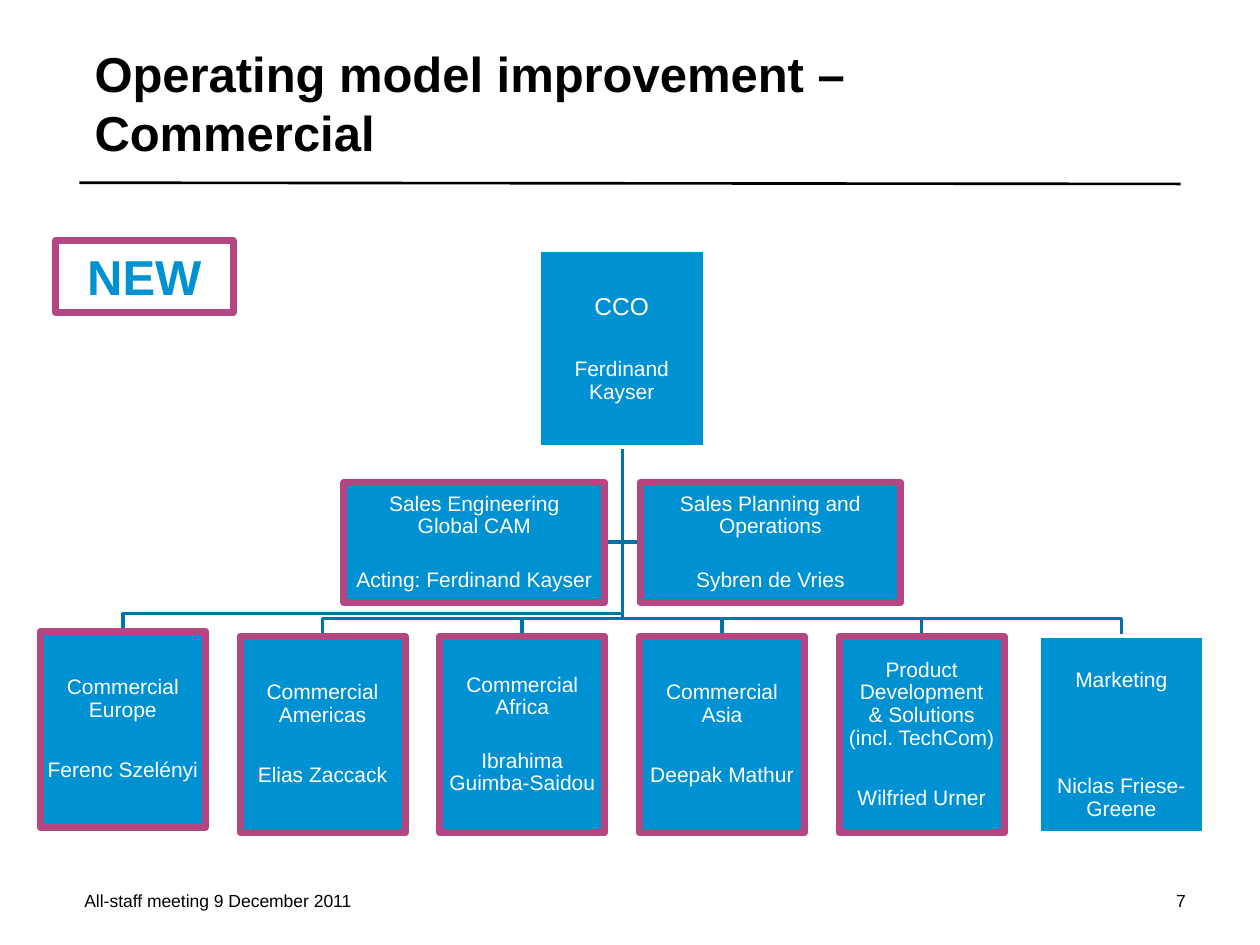
from lxml.etree import SubElement
from pptx import Presentation
from pptx.dml.color import RGBColor
from pptx.enum.shapes import MSO_CONNECTOR, MSO_SHAPE
from pptx.enum.text import MSO_ANCHOR, PP_ALIGN
from pptx.oxml.ns import qn
from pptx.util import Inches, Pt

BLACK = RGBColor(0x00, 0x00, 0x00)
WHITE = RGBColor(0xFF, 0xFF, 0xFF)
BLUE = RGBColor(0x00, 0x91, 0xD2)
DARK_BLUE = RGBColor(0x00, 0x74, 0xA8)
MAGENTA = RGBColor(0xB4, 0x46, 0x82)

TRUNK_X, TRUNK_TOP = 4.94, 3.55
UNIT_LEFT, UNIT_STEP = 0.32, 1.585
UNIT_WIDTH, UNIT_HEIGHT = 1.31, 1.56
BRANCH_RISE = 0.14
ROLE_GAP, TIGHT_GAP, WIDE_GAP = 21.5, 17.5, 47.5


class OrgSlide:
    font = "Arial"

    def __init__(self, slide):
        self.slide = slide

    def outline(self, shape, color, width):
        """Give a shape a solid line with round corners."""
        shape.line.color.rgb = color
        shape.line.width = Pt(width)
        SubElement(shape._element.spPr.find(qn("a:ln")), qn("a:round"))

    def fill_frame(self, frame, paragraphs, color, insets, anchor,
                   align=PP_ALIGN.LEFT, bold=False, gap=0, spacing=None):
        """Fill a frame with (text, size) paragraphs, gap points apart."""
        left, top, right, bottom = map(Inches, insets)
        frame_format = {"word_wrap": True, "vertical_anchor": anchor,
                        "margin_left": left, "margin_top": top,
                        "margin_right": right, "margin_bottom": bottom}
        for name, value in frame_format.items():
            setattr(frame, name, value)
        for index, (text, size) in enumerate(paragraphs):
            paragraph = frame.add_paragraph() if index else frame.paragraphs[0]
            paragraph.text = text
            paragraph.alignment = align
            if spacing:
                paragraph.line_spacing = spacing
            if index:
                paragraph.space_before = Pt(gap)
            font_format = {"name": self.font, "size": Pt(size), "bold": bold}
            for run in paragraph.runs:
                for name, value in font_format.items():
                    setattr(run.font, name, value)
                run.font.color.rgb = color

    def text(self, place, text, size, insets=(0, 0, 0, 0),
             anchor=MSO_ANCHOR.MIDDLE, **style):
        box = self.slide.shapes.add_textbox(*map(Inches, place))
        self.fill_frame(box.text_frame, [(text, size)], BLACK, insets, anchor,
                        **style)

    def box(self, place, fill, border, border_width):
        box = self.slide.shapes.add_shape(MSO_SHAPE.RECTANGLE, *map(Inches, place))
        box.shadow.inherit = False
        box.fill.solid()
        box.fill.fore_color.rgb = fill
        self.outline(box, border, border_width)
        return box

    def unit(self, place, role, person, gap=ROLE_GAP, is_new=True,
             role_size=12, top_inset=0.01):
        border, width = (MAGENTA, 4) if is_new else (WHITE, 2)
        box = self.box(place, BLUE, border, width)
        self.fill_frame(box.text_frame, [(role, role_size), (person, 12)], WHITE,
                        (0.01, top_inset, 0.01, 0.01), MSO_ANCHOR.MIDDLE,
                        align=PP_ALIGN.CENTER, gap=gap, spacing=0.9)

    def badge(self, place, text):
        box = self.box(place, WHITE, MAGENTA, 4)
        self.fill_frame(box.text_frame, [(text, 28)], BLUE,
                        (0.1, 0.05, 0.1, 0.05), MSO_ANCHOR.TOP,
                        align=PP_ALIGN.CENTER, bold=True)

    def branch(self, *points):
        """Draw an open bent line down the trunk and through the points."""
        builder = self.slide.shapes.build_freeform(
            Inches(TRUNK_X), Inches(TRUNK_TOP))
        builder.add_line_segments(
            [(Inches(x), Inches(y)) for x, y in points], close=False)
        line = builder.convert_to_shape()
        line.shadow.inherit = False
        line.fill.background()
        self.outline(line, DARK_BLUE, 2)

    def rule(self, x1, y1, x2, y2):
        line = self.slide.shapes.add_connector(
            MSO_CONNECTOR.STRAIGHT, *map(Inches, (x1, y1, x2, y2)))
        self.outline(line, BLACK, 1.5)
        SubElement(line._element.spPr, qn("a:effectLst"))


# role, person, top, further settings
UNITS = [
    ("Commercial Europe", "Ferenc Szelényi", 5.01, {}),
    ("Commercial Americas", "Elias Zaccack", 5.05, {}),
    ("Commercial Africa", "Ibrahima Guimba-Saidou", 5.05, {"gap": TIGHT_GAP}),
    ("Commercial\vAsia", "Deepak Mathur", 5.05, {}),
    ("Product Development\v& Solutions\v(incl. TechCom)", "Wilfried Urner",
     5.05, {}),
    ("Marketing", "Niclas Friese-Greene", 5.05,
     {"gap": WIDE_GAP, "is_new": False, "top_inset": 0.18}),
]

# role, person, left, edge that meets the trunk
STAFF = [
    ("Sales Engineering\vGlobal CAM", "Acting: Ferdinand Kayser", 2.73, 4.8),
    ("Sales Planning and Operations", "Sybren de Vries", 5.08, 5.08),
]


def main():
    presentation = Presentation()
    presentation.slide_width = Inches(10)
    presentation.slide_height = Inches(7.5)
    page = OrgSlide(presentation.slides.add_slide(presentation.slide_layouts[6]))

    page.rule(0.63, 1.45, 9.37, 1.46)
    page.text((0.67, 0.2, 7.68, 1.08), "Operating model improvement – Commercial",
              28, insets=(0.08, 0, 0, 0), anchor=MSO_ANCHOR.BOTTOM, bold=True)

    for _, _, _, edge in STAFF:
        page.branch((TRUNK_X, 4.3), (edge, 4.3))
    for column, (_, _, top, _) in enumerate(UNITS):
        center = UNIT_LEFT + column * UNIT_STEP + UNIT_WIDTH / 2
        bend = top - BRANCH_RISE
        page.branch((TRUNK_X, bend), (center, bend), (center, top))

    page.unit((4.28, 1.99, UNIT_WIDTH, UNIT_HEIGHT), "CCO", "Ferdinand Kayser",
              is_new=False, role_size=14)
    for column, (role, person, top, settings) in enumerate(UNITS):
        left = UNIT_LEFT + column * UNIT_STEP
        page.unit((left, top, UNIT_WIDTH, UNIT_HEIGHT), role, person, **settings)
    for role, person, left, _ in STAFF:
        page.unit((left, 3.83, 2.07, 0.95), role, person, gap=TIGHT_GAP)

    page.badge((0.44, 1.91, 1.41, 0.57), "NEW")
    page.text((0.67, 7.05, 6.06, 0.2), "All-staff meeting 9 December 2011", 10)
    page.text((8.07, 7.05, 1.34, 0.2), "7", 10, align=PP_ALIGN.RIGHT)

    presentation.save("out.pptx")


if __name__ == "__main__":
    main()
